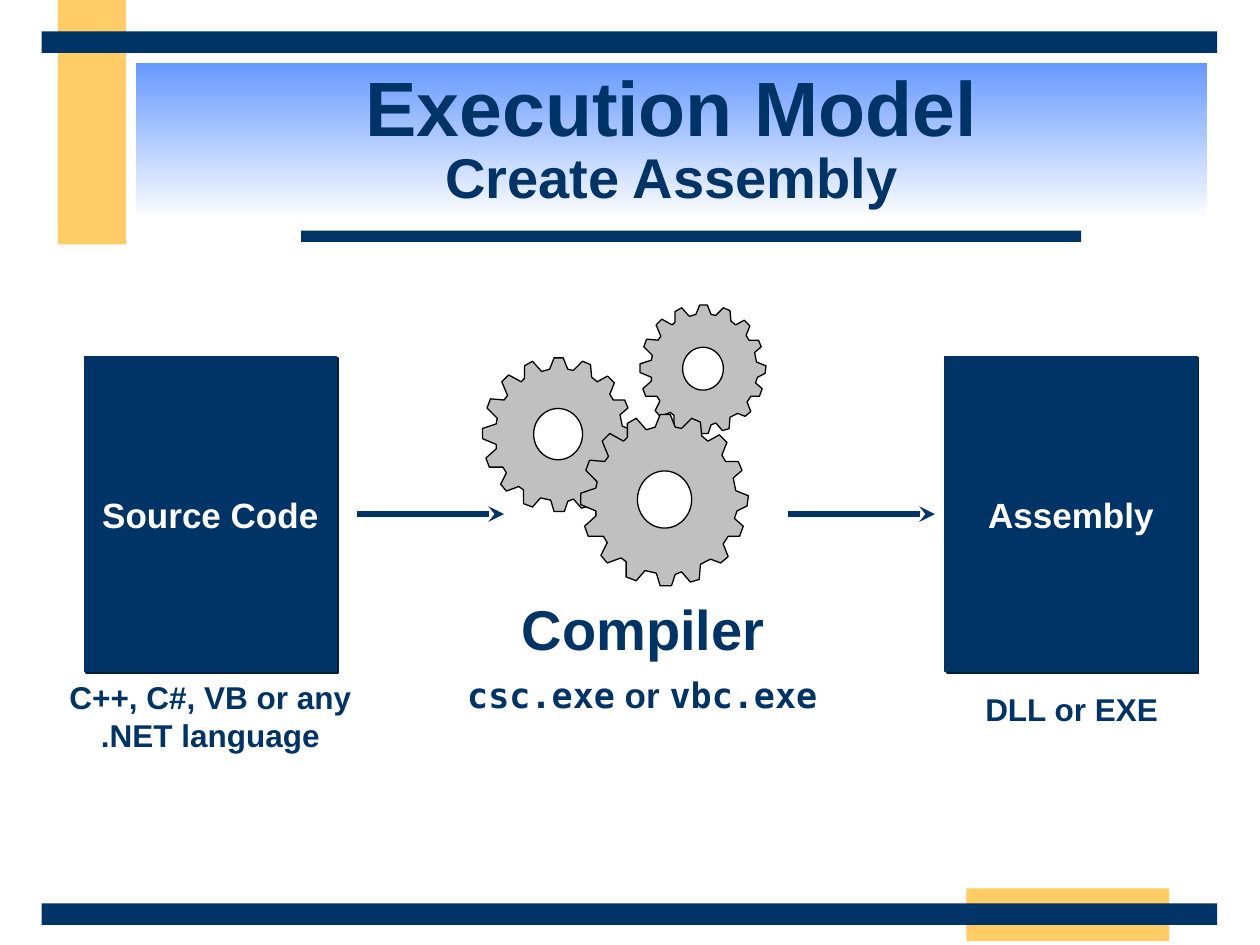
from math import cos, sin, pi
from lxml.etree import SubElement as Sub
from pptx import Presentation
from pptx.dml.color import RGBColor as RGB
from pptx.enum.shapes import MSO_CONNECTOR as Conn, MSO_SHAPE as Kind
from pptx.enum.text import MSO_ANCHOR as Anchor, PP_ALIGN as Align
from pptx.oxml.ns import qn
from pptx.util import Inches, Pt

NAVY, GOLD, GREY, WHITE = "003366", "FFCC66", "C0C0C0", "FFFFFF"
SANS, MONO = "Arial", "DejaVu Sans Mono"

# Gear outline on a grid of 133 by 135, clockwise from the top tooth
GRID = 133, 135
TEETH = [
    (59, 10), (63, 0), (71, 0), (75, 10), (80, 11), (88, 3), (95, 6), (96, 17),
    (101, 21), (110, 16), (116, 22), (112, 32), (115, 37), (125, 37), (128, 44), (121, 50),
    (123, 60), (133, 64), (132, 72), (124, 76), (122, 82), (129, 88), (126, 96), (117, 96),
    (113, 102), (117, 112), (111, 117), (103, 114), (95, 118), (94, 130), (87, 132), (80, 124),
    (75, 126), (72, 135), (63, 135), (60, 125), (51, 123), (44, 131), (36, 128), (36, 116),
    (32, 113), (21, 117), (16, 111), (21, 101), (18, 96), (6, 96), (3, 88), (12, 80),
    (12, 76), (0, 71), (0, 62), (12, 58), (13, 53), (4, 44), (7, 36), (19, 37),
    (22, 33), (17, 21), (23, 15), (34, 21), (37, 18), (37, 7), (44, 3), (52, 12),
]
# Round hole, drawn the other way
HOLE = [(66.5 + 21.5 * cos(a), 67 - 22.5 * sin(a))
        for a in (2 * pi * i / 60 for i in range(60))]


def color(code):
    return RGB.from_string(code)


def paint(shape, fill, line=None, width=1):
    shape.shadow.inherit = False
    shape.fill.solid()
    shape.fill.fore_color.rgb = color(fill)
    if line:
        shape.line.color.rgb = color(line)
        shape.line.width = Pt(width)
    else:
        shape.line.fill.background()


def rect(slide, area, fill, line=None):
    shape = slide.shapes.add_shape(Kind.RECTANGLE, *map(Inches, area))
    paint(shape, fill, line)
    return shape


def style(font, size, ink=NAVY, face=SANS):
    font.size, font.bold, font.name = Pt(size), True, face
    font.color.rgb = color(ink)


def write(shape, text, size, ink=NAVY, wrap=True):
    frame = shape.text_frame
    frame.word_wrap = wrap
    para = frame.paragraphs[0]
    para.alignment = Align.CENTER
    para.text = text
    style(para.font, size, ink)


def label(slide, area, text, size, wrap=True):
    box = slide.shapes.add_textbox(*map(Inches, area))
    write(box, text, size, wrap=wrap)


def block(slide, left, text):
    shape = rect(slide, (left, 2.83, 2, 2.5), NAVY, NAVY)
    shape.text_frame.vertical_anchor = Anchor.MIDDLE
    write(shape, text, 20, WHITE, wrap=False)
    effects = shape._element.spPr.find(qn("a:effectLst"))
    shade = Sub(effects, qn("a:outerShdw"), dist=str(Pt(1.4)), dir="2700000",
                algn="ctr", rotWithShape="0")
    Sub(shade, qn("a:srgbClr"), val="001E3C")


def arrow(slide, start, end, y=4.08):
    line = slide.shapes.add_connector(Conn.STRAIGHT, *map(Inches, (start, y, end, y)))
    line.line.color.rgb = color(NAVY)
    line.line.width = Pt(3)
    Sub(line.line._get_or_add_ln(), qn("a:tailEnd"), type="stealth")
    Sub(line._element.spPr, qn("a:effectLst"))


def gear(slide, left, top, width, height):
    def place(points):
        return [(Inches(left + x * width / GRID[0]), Inches(top + y * height / GRID[1]))
                for x, y in points]

    rim, hole = place(TEETH), place(HOLE)
    path = slide.shapes.build_freeform(*rim[0])
    path.add_line_segments(rim[1:])
    path.move_to(*hole[0])
    path.add_line_segments(hole[1:])
    paint(path.convert_to_shape(), GREY, "000000", 0.75)


def tools(slide):
    box = slide.shapes.add_textbox(*map(Inches, (3.61, 5.3, 2.98, 0.44)))
    box.text_frame.word_wrap = False
    para = box.text_frame.paragraphs[0]
    for text, face in (("csc.exe", MONO), (" or ", SANS), ("vbc.exe", MONO)):
        run = para.add_run()
        run.text = text
        style(run.font, 20, face=face)


def title(slide):
    shape = rect(slide, (1.08, 0.5, 8.5, 1.25), WHITE)
    shape.fill.gradient()
    shape.fill.gradient_angle = 270
    for stop, place, code in zip(shape.fill.gradient_stops, (0, 1), ("6699FF", WHITE)):
        stop.position = place
        stop.color.rgb = color(code)
    frame = shape.text_frame
    frame.word_wrap = True
    frame.vertical_anchor = Anchor.MIDDLE
    para = frame.paragraphs[0]
    para.alignment, para.line_spacing = Align.CENTER, 0.85
    head = para.add_run()
    head.text = "Execution Model"
    style(head.font, 44)
    para.add_line_break()
    sub = para.add_run()
    sub.text = "Create Assembly"
    style(sub.font, 32)


def main():
    deck = Presentation()
    deck.slide_width, deck.slide_height = Inches(10), Inches(7.5)
    slide = deck.slides.add_slide(deck.slide_layouts[6])

    # Frame bars
    for area in ((0.46, 0, 0.54, 1.94), (7.67, 7.05, 1.61, 0.42)):
        rect(slide, area, GOLD)
    for area in ((2.39, 1.83, 6.19, 0.09), (0.33, 7.17, 9.33, 0.17), (0.33, 0.25, 9.33, 0.17)):
        rect(slide, area, NAVY)

    # Source
    block(slide, 0.67, "Source Code")
    label(slide, (0.42, 5.33, 2.5, 0.7), "C++, C#, VB or any .NET language", 18)

    # Compiler
    tools(slide)
    gear(slide, 5.08, 2.42, 1, 1.02)
    gear(slide, 3.83, 2.84, 1.2, 1.22)
    gear(slide, 4.61, 3.29, 1.33, 1.36)
    label(slide, (4.04, 4.67, 2.13, 0.64), "Compiler", 32, wrap=False)
    arrow(slide, 2.83, 4)

    # Result
    block(slide, 7.5, "Assembly")
    label(slide, (7.42, 5.43, 2.17, 0.4), "DLL or EXE", 18)
    arrow(slide, 6.25, 7.42)

    title(slide)
    deck.save("out.pptx")


if __name__ == "__main__":
    main()
